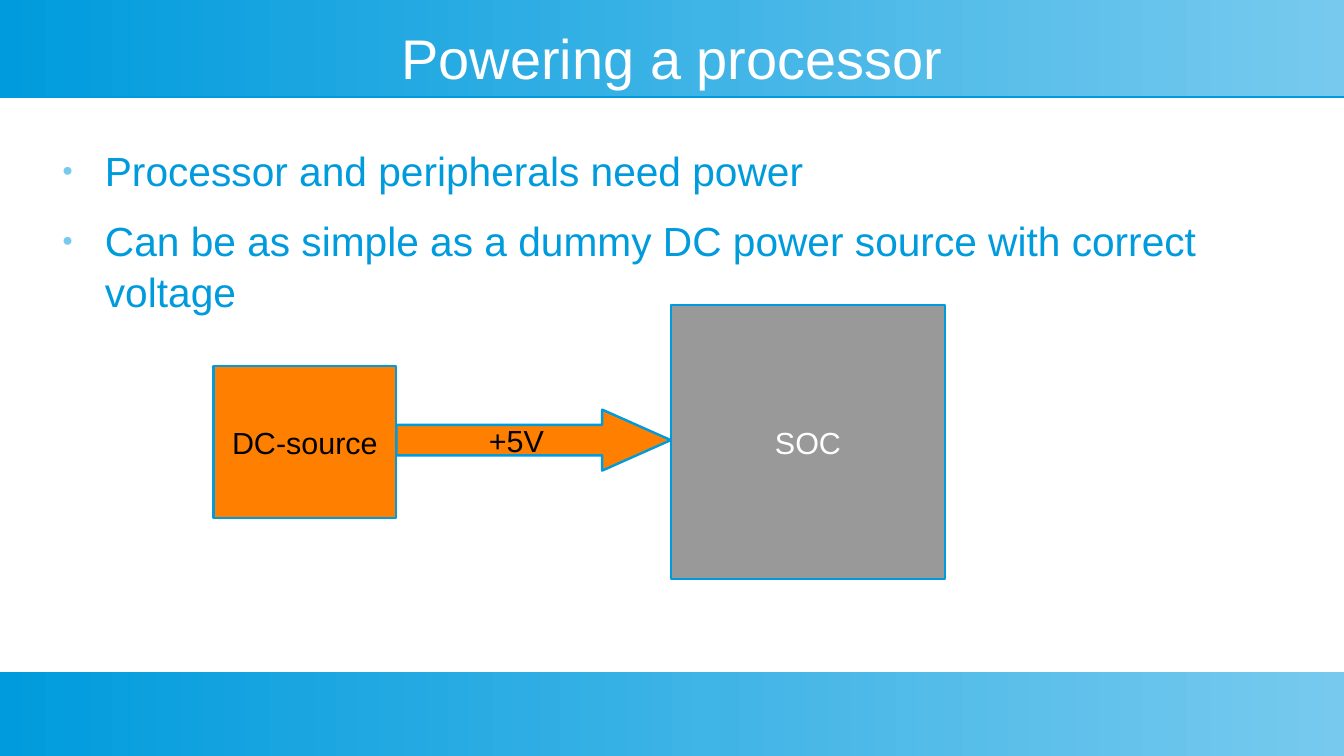
from lxml import etree
from pptx import Presentation
from pptx.dml.color import RGBColor
from pptx.enum.shapes import MSO_SHAPE
from pptx.enum.text import MSO_ANCHOR, MSO_AUTO_SIZE, PP_ALIGN
from pptx.oxml.ns import qn
from pptx.util import Inches, Pt

RECTANGLE = MSO_SHAPE.RECTANGLE
RIGHT_ARROW = MSO_SHAPE.RIGHT_ARROW
TOP, MIDDLE = MSO_ANCHOR.TOP, MSO_ANCHOR.MIDDLE
LEFT, CENTER = PP_ALIGN.LEFT, PP_ALIGN.CENTER
NO_AUTOFIT = MSO_AUTO_SIZE.NONE

SLIDE_WIDTH, SLIDE_HEIGHT = 11.02, 6.2
COLORS = {
    "blue": "009BDD",
    "sky": "77CAEE",
    "orange": "FF8000",
    "gray": "999999",
    "black": "000000",
    "white": "FFFFFF",
}


class SlideBuilder:
    font_name = "Arial"

    def __init__(self, deck):
        self.slide = deck.slides.add_slide(deck.slide_layouts[1])
        self.shapes = self.slide.shapes

    def color(self, name):
        return RGBColor.from_string(COLORS[name])

    def place(self, shape, left, top, width, height):
        shape.left, shape.top = Inches(left), Inches(top)
        shape.width, shape.height = Inches(width), Inches(height)

    def style(self, para, size, color, align):
        para.alignment = align
        para.font.name = self.font_name
        para.font.size = Pt(size)
        para.font.color.rgb = self.color(color)

    def prepare_frame(self, frame, anchor):
        frame.auto_size = NO_AUTOFIT
        frame.word_wrap = True
        frame.vertical_anchor = anchor
        frame.margin_left = frame.margin_right = 0
        frame.margin_top = frame.margin_bottom = 0

    def band(self, top, height):
        band = self.shapes.add_shape(
            RECTANGLE, 0, Inches(top), Inches(SLIDE_WIDTH), Inches(height))
        band.line.fill.background()
        band.fill.gradient()
        band.fill.gradient_angle = 0
        for stop, name in zip(band.fill.gradient_stops, ("blue", "sky")):
            stop.color.rgb = self.color(name)
        band.shadow.inherit = False
        effects = band.element.spPr.find(qn("a:effectLst"))
        shadow = etree.SubElement(
            effects, qn("a:outerShdw"), dist=str(Pt(0.9)), dir="5400000")
        etree.SubElement(shadow, qn("a:srgbClr"), val=COLORS["blue"])
        self.shapes.element.insert(2, band.element)

    def title(self, text, *position):
        title = self.shapes.title
        self.place(title, *position)
        title.text_frame.text = text
        self.prepare_frame(title.text_frame, MIDDLE)
        self.style(title.text_frame.paragraphs[0], 33, "white", CENTER)

    def bullets(self, items, *position):
        body = self.slide.placeholders[1]
        self.place(body, *position)
        frame = body.text_frame
        frame.text = "\n".join(items)
        self.prepare_frame(frame, TOP)
        for para in frame.paragraphs:
            self.style(para, 24, "blue", LEFT)
            para.line_spacing = 1.05
            para.space_before = Pt(10.6)
            self.bullet(para)

    def bullet(self, para):
        properties = para._p.get_or_add_pPr()
        properties.set("marL", str(Inches(0.47)))
        properties.set("indent", str(Inches(-0.35)))
        bullet_color = etree.Element(qn("a:buClr"))
        etree.SubElement(bullet_color, qn("a:srgbClr"), val=COLORS["sky"])
        bullet_size = etree.Element(qn("a:buSzPct"), val="45000")
        bullet_font = etree.Element(qn("a:buFont"), typeface=self.font_name)
        bullet_mark = etree.Element(qn("a:buChar"), char="●")
        mark = [bullet_color, bullet_size, bullet_font, bullet_mark]
        position = list(properties).index(properties.find(qn("a:spcBef"))) + 1
        properties[position:position] = mark

    def block(self, kind, text, fill, text_color, *position):
        block = self.shapes.add_shape(kind, *map(Inches, position))
        block.shadow.inherit = False
        block.fill.solid()
        block.fill.fore_color.rgb = self.color(fill)
        block.line.color.rgb = self.color("blue")
        block.line.width = Pt(1.42)
        frame = block.text_frame
        frame.text = text
        frame.word_wrap = False
        frame.vertical_anchor = MIDDLE
        self.style(frame.paragraphs[0], 18, text_color, CENTER)
        return block


def main():
    deck = Presentation()
    deck.slide_width = Inches(SLIDE_WIDTH)
    deck.slide_height = Inches(SLIDE_HEIGHT)
    page = SlideBuilder(deck)

    page.band(0, 0.79)
    page.band(5.51, 0.69)
    page.title("Powering a processor", 0.39, -0.05, 10.24, 1.03)
    page.bullets(
        [
            "Processor and peripherals need power",
            "Can be as simple as a dummy DC power source with correct voltage",
        ],
        0.39, 1.18, 10.24, 3.94)

    page.block(RECTANGLE, "DC-source", "orange", "black", 1.75, 3, 1.5, 1.25)
    page.block(RECTANGLE, "SOC", "gray", "white", 5.5, 2.5, 2.25, 2.25)
    arrow = page.block(
        RIGHT_ARROW, "+5V", "orange", "black", 3.25, 3.36, 2.25, 0.5)
    arrow.adjustments[1] = 1.125

    deck.save("out.pptx")


if __name__ == "__main__":
    main()
